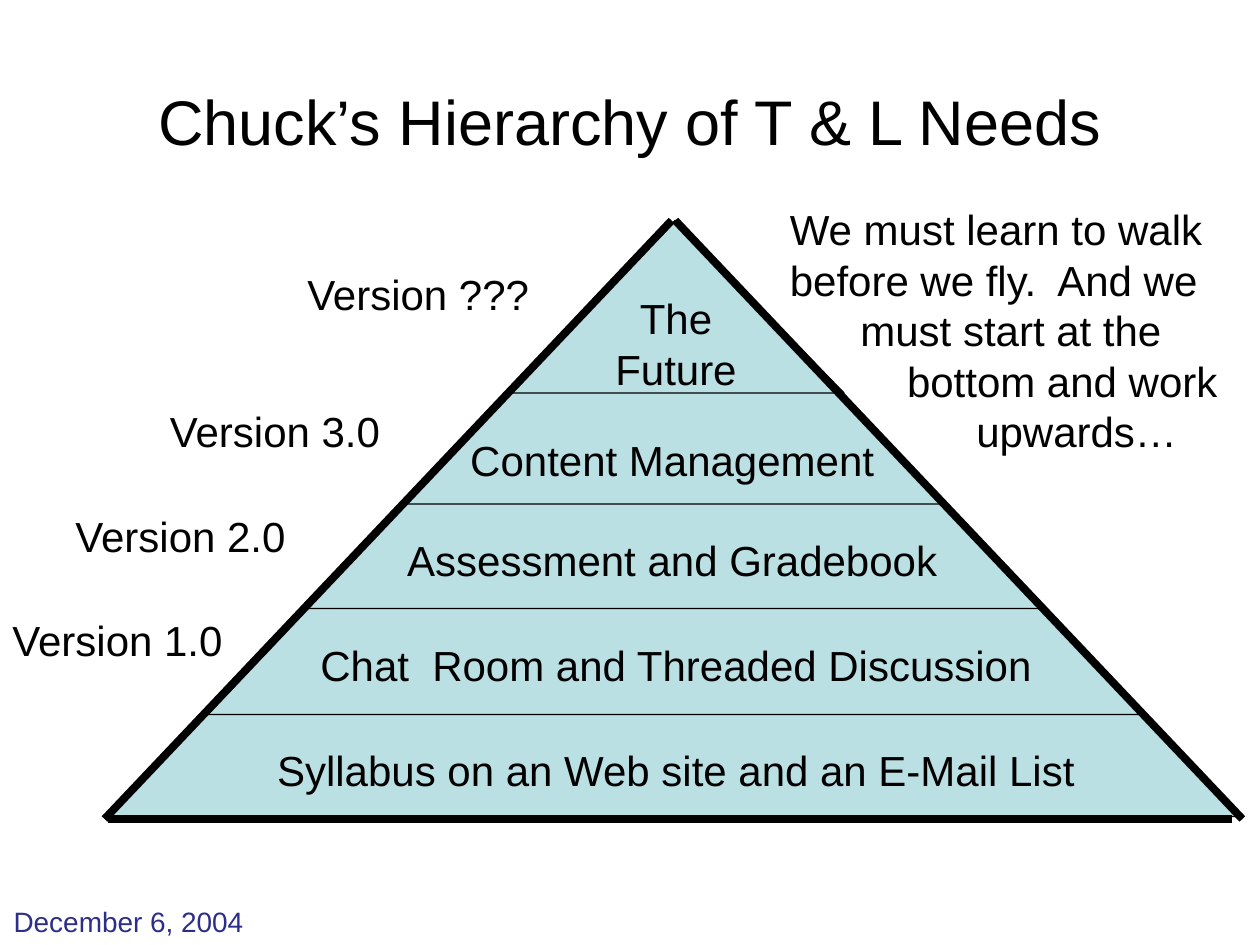
from pptx import Presentation
from pptx.dml.color import RGBColor
from pptx.enum.shapes import MSO_CONNECTOR, MSO_SHAPE
from pptx.enum.text import MSO_ANCHOR, MSO_AUTO_SIZE, PP_ALIGN
from pptx.oxml.ns import qn
from pptx.util import Pt
from lxml.etree import SubElement

PX = 9144
BLACK, TEAL, NAVY = "000000", "BBE0E3", "2D2D8A"
LABEL_FRAME = {"word_wrap": False, "auto_size": MSO_AUTO_SIZE.SHAPE_TO_FIT_TEXT}
NOTE_FRAME = {**LABEL_FRAME, "word_wrap": True}
TIER_FRAME = {"word_wrap": False, "vertical_anchor": MSO_ANCHOR.MIDDLE}
TITLE_FRAME = {"word_wrap": True, "vertical_anchor": MSO_ANCHOR.MIDDLE}


def emu(*lengths):
    """Turn px lengths into EMU."""
    return [length * PX for length in lengths]


def color(hex_string):
    """Return the colour for a hex string."""
    return RGBColor.from_string(hex_string)


def set_attributes(target, values):
    """Set every attribute in a dict on the target."""
    for name, value in values.items():
        setattr(target, name, value)


def write_text(shape, lines, frame, align=PP_ALIGN.LEFT, size=24, hex_string=BLACK, indents=()):
    """Fill a shape with formatted paragraphs, indented where asked."""
    set_attributes(shape.text_frame, frame)
    shape.text_frame.text = "\n".join(lines)
    for paragraph in shape.text_frame.paragraphs:
        paragraph.alignment = align
        set_attributes(paragraph.font, {"name": "Arial", "size": Pt(size)})
        paragraph.font.color.rgb = color(hex_string)
    for paragraph, indent in zip(shape.text_frame.paragraphs, indents):
        paragraph._p.get_or_add_pPr().set("marL", str(indent * PX))


def add_text(slide, box, lines, frame, **style):
    """Add a text box."""
    write_text(slide.shapes.add_textbox(*emu(*box)), lines, frame, **style)


def add_filled_shape(slide, kind, box):
    """Add a teal preset shape without a shadow."""
    shape = slide.shapes.add_shape(kind, *emu(*box))
    shape.shadow.inherit = False
    shape.fill.solid()
    shape.fill.fore_color.rgb = color(TEAL)
    return shape


def add_title(slide, box, text):
    """Place the title placeholder in its box."""
    title = slide.shapes.title
    set_attributes(title, dict(zip(("left", "top", "width", "height"), emu(*box))))
    write_text(title, [text], TITLE_FRAME, PP_ALIGN.CENTER, 36)


def add_edge(slide, start, end):
    """Add a thick black edge."""
    edge = slide.shapes.add_connector(MSO_CONNECTOR.STRAIGHT, *emu(*start, *end))
    edge.line.color.rgb = color(BLACK)
    edge.line.width = Pt(4.5)
    SubElement(edge._element.spPr, qn("a:effectLst"))


def add_pyramid(slide, box):
    """Stack nested triangles, then label the tiers and draw the edges."""
    left, top, width, height = box
    center = left + width // 2
    triangles = [(8, 900, 465), (0, 742, 392), (0, 589, 308), (0, 430, 225), (0, 267, 137)]
    for offset, base, depth in triangles:
        triangle = add_filled_shape(slide, MSO_SHAPE.ISOSCELES_TRIANGLE,
                                    (center - base // 2, top + offset, base, depth))
        triangle.line.color.rgb = color(BLACK)
        triangle.line.width = Pt(0.75)

    tiers = [
        (1, 408, ["Syllabus on an Web site and an E-Mail List"], True),
        (1, 325, ["Chat  Room and Threaded Discussion"], True),
        (-2, 242, ["Assessment and Gradebook"], True),
        (-2, 162, ["Content Management"], False),
        (1, 70, ["The", "Future"], False),
    ]
    for shift, offset, lines, filled in tiers:
        tier_box = (center - 192 + shift, top + offset, 383, 55)
        if filled:
            shape = add_filled_shape(slide, MSO_SHAPE.RECTANGLE, tier_box)
            shape.line.fill.background()
            write_text(shape, lines, TIER_FRAME, PP_ALIGN.CENTER)
        else:
            add_text(slide, tier_box, lines, TIER_FRAME, align=PP_ALIGN.CENTER)

    bottom = top + height
    add_edge(slide, (center - 3, top), (left - 3, bottom))
    add_edge(slide, (center, top), (left + width, bottom))
    add_edge(slide, (left + width - 8, bottom), (left, bottom))


def add_versions(slide, box):
    """Place the version labels along the left slope."""
    left, top, width, height = box
    labels = [(0, 275, "1.0"), (50, 192, "2.0"), (125, 109, "3.0"), (234, 0, "???")]
    for x, y, version in labels:
        add_text(slide, (left + x, top + y, width, height), [f"Version {version}"], LABEL_FRAME)


def add_note(slide, box):
    """Place the note whose lines step along the right slope."""
    lines = ["We must learn to walk before we fly.  And we", "must start at the",
             "bottom and work", "upwards…"]
    add_text(slide, box, lines, NOTE_FRAME, indents=(0, 56, 93, 148))


def main():
    """Build and save the slide."""
    presentation = Presentation()
    presentation.slide_width, presentation.slide_height = emu(1000, 750)
    slide = presentation.slides.add_slide(presentation.slide_layouts[5])
    add_text(slide, (1, 713, 210, 37), ["December 6, 2004"], {"word_wrap": False},
             size=16, hex_string=NAVY)
    add_title(slide, (75, 33, 850, 125), "Chuck’s Hierarchy of T & L Needs")
    add_pyramid(slide, (86, 175, 900, 475))
    add_versions(slide, (0, 208, 202, 50))
    add_note(slide, (617, 157, 375, 210))
    presentation.save("out.pptx")


if __name__ == "__main__":
    main()
